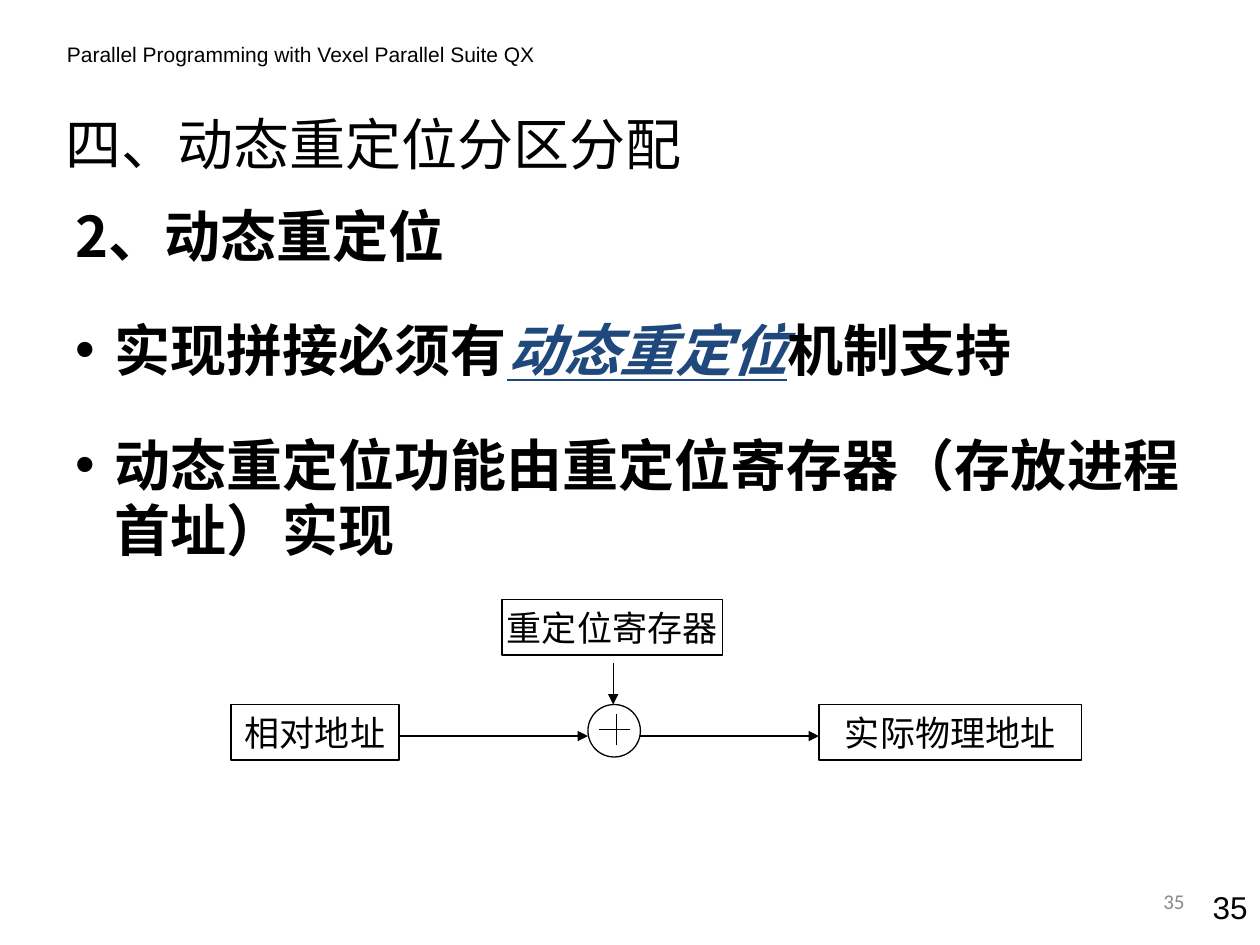
from lxml import etree
from pptx import Presentation
from pptx import util as u
from pptx.dml.color import RGBColor
from pptx.enum import shapes, text
from pptx.oxml.ns import qn

deck = Presentation()
deck.slide_width, deck.slide_height = u.Inches(10), u.Inches(7.5)
cell = deck.slide_width / 120
page = deck.slides.add_slide(deck.slide_layouts[1])
items = page.shapes
sans = "Noto Sans CJK SC"


def grid(*nums):
    return [u.Emu(round(n * cell)) for n in nums]


def write(para, words, size, face, hue="000000", bold=False, slant=False):
    run = para.add_run()
    run.text = words
    font = run.font
    font.size, font.name, font.bold = u.Pt(size), face, bold
    font.italic = font.underline = slant
    font.color.rgb = RGBColor.from_string(hue)
    east = etree.SubElement(run._r.get_or_add_rPr(), qn("a:ea"))
    east.set("typeface", sans)


title, body = items.title, page.placeholders[1]
title.left, title.top, title.width, title.height = grid(5, 9.1, 68, 9)
body.left, body.top, body.width, body.height = grid(6, 18.7, 111, 55)
for hold in (title, body):
    hold.text_frame.auto_size = text.MSO_AUTO_SIZE.NONE
    hold.text_frame.word_wrap = True

head = title.text_frame.paragraphs[0]
head.alignment = text.PP_ALIGN.LEFT
write(head, "四、动态重定位分区分配", 32, sans)

points = [
    ["2、动态重定位"],
    ["实现拼接必须有", "动态重定位", "机制支持"],
    ["动态重定位功能由重定位寄存器（存放进程首址）实现"],
]
for row, parts in enumerate(points):
    para = body.text_frame.add_paragraph() if row else body.text_frame.paragraphs[0]
    props = para._p.get_or_add_pPr()
    props.set("marL", str(u.Inches(0.31)))
    props.set("indent", str(-u.Inches(0.31)))
    if row:
        tint = etree.SubElement(props, qn("a:buClr"))
        etree.SubElement(tint, qn("a:srgbClr")).set("val", "000000")
        face = etree.SubElement(props, qn("a:buFont"))
        face.set("typeface", "Arial")
        etree.SubElement(props, qn("a:buChar")).set("char", "•")
    else:
        etree.SubElement(props, qn("a:buNone"))
    para.line_spacing = u.Pt(37.5)
    para.space_before = u.Pt(28 if row else 0)
    for spot, part in enumerate(parts):
        key = spot == 1
        write(para, part, 32, sans, "1F497D" if key else "000000", True, key)

left, right = text.PP_ALIGN.LEFT, text.PP_ALIGN.RIGHT
labels = [
    ("Parallel Programming with Vexel Parallel Suite QX", (5.2, 3.4, 49.2, 3.6), 12, "Arial", "000000", left),
    ("35", (112, 84, 8, 4.8), 18, "Arial", "000000", right),
    ("35", (86, 83.4, 28, 4.8), 12, "Calibri", "898989", right),
]
for words, place, size, face, hue, side in labels:
    frame = items.add_textbox(*grid(*place)).text_frame
    frame.word_wrap = True
    frame.vertical_anchor = text.MSO_ANCHOR.MIDDLE
    frame.paragraphs[0].alignment = side
    write(frame.paragraphs[0], words, size, face, hue)

kind = shapes.MSO_SHAPE
nodes = [
    ("相对地址", kind.RECTANGLE, (22, 67.1, 16, 5.3)),
    ("重定位寄存器", kind.RECTANGLE, (47.8, 57.1, 21, 5.3)),
    ("实际物理地址", kind.RECTANGLE, (78, 67.1, 25, 5.3)),
    ("", kind.OVAL, (56, 67.1, 5, 5)),
]
for words, form, place in nodes:
    node = items.add_shape(form, *grid(*place))
    node.shadow.inherit = False
    node.fill.background()
    node.line.color.rgb = RGBColor.from_string("000000")
    node.line.width = u.Pt(0.75)
    if words:
        frame = node.text_frame
        frame.margin_left = frame.margin_right = 0
        frame.vertical_anchor = text.MSO_ANCHOR.MIDDLE
        frame.paragraphs[0].alignment = text.PP_ALIGN.CENTER
        write(frame.paragraphs[0], words, 20, "Arial")

lines = [
    ((57, 69.5, 60, 69.5), False),
    ((58.7, 68, 58.7, 71), False),
    ((38, 70.1, 56, 70.1), True),
    ((61, 70.1, 78, 70.1), True),
    ((58.4, 63.1, 58.4, 67.1), True),
]
for ends, arrow in lines:
    link = items.add_connector(shapes.MSO_CONNECTOR.STRAIGHT, *grid(*ends))
    link.line.color.rgb = RGBColor.from_string("000000")
    link.line.width = u.Pt(0.75)
    if arrow:
        tip = etree.SubElement(link.line._get_or_add_ln(), qn("a:tailEnd"))
        tip.set("type", "triangle")
    etree.SubElement(link._element.spPr, qn("a:effectLst"))

deck.save("out.pptx")
